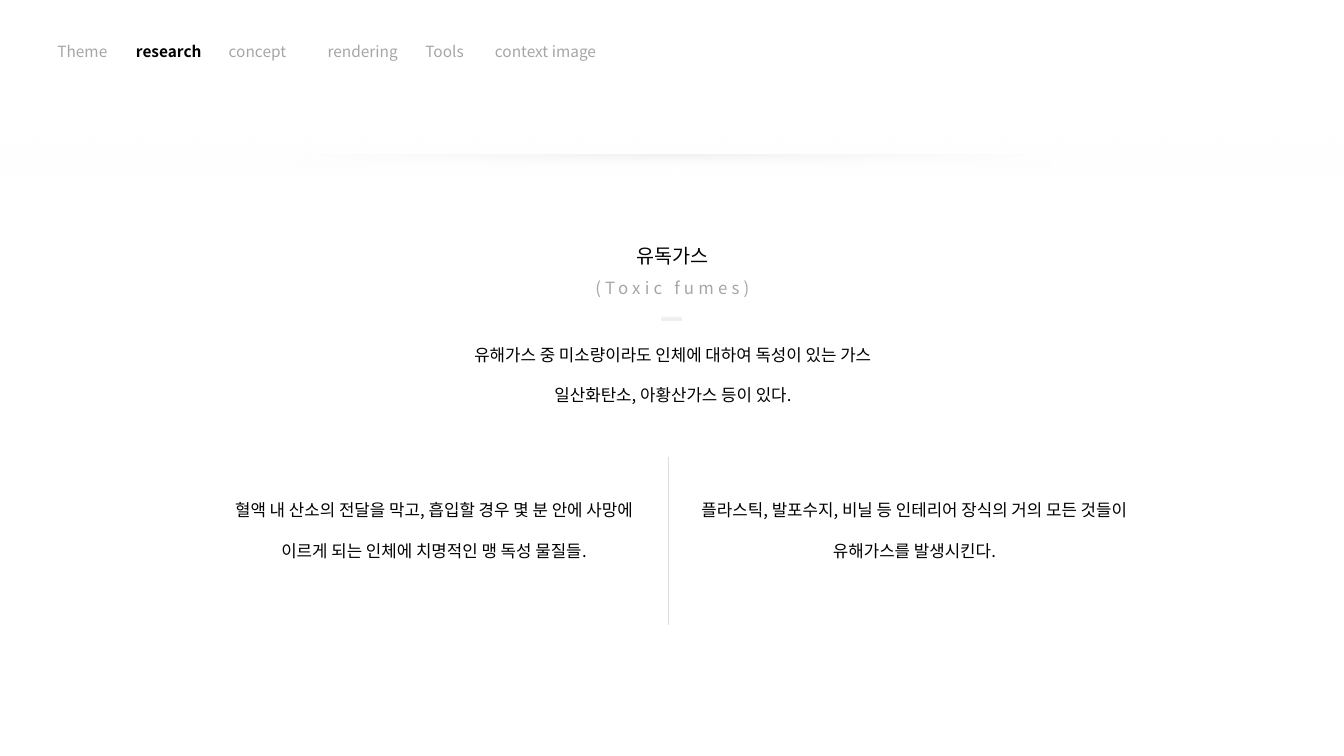
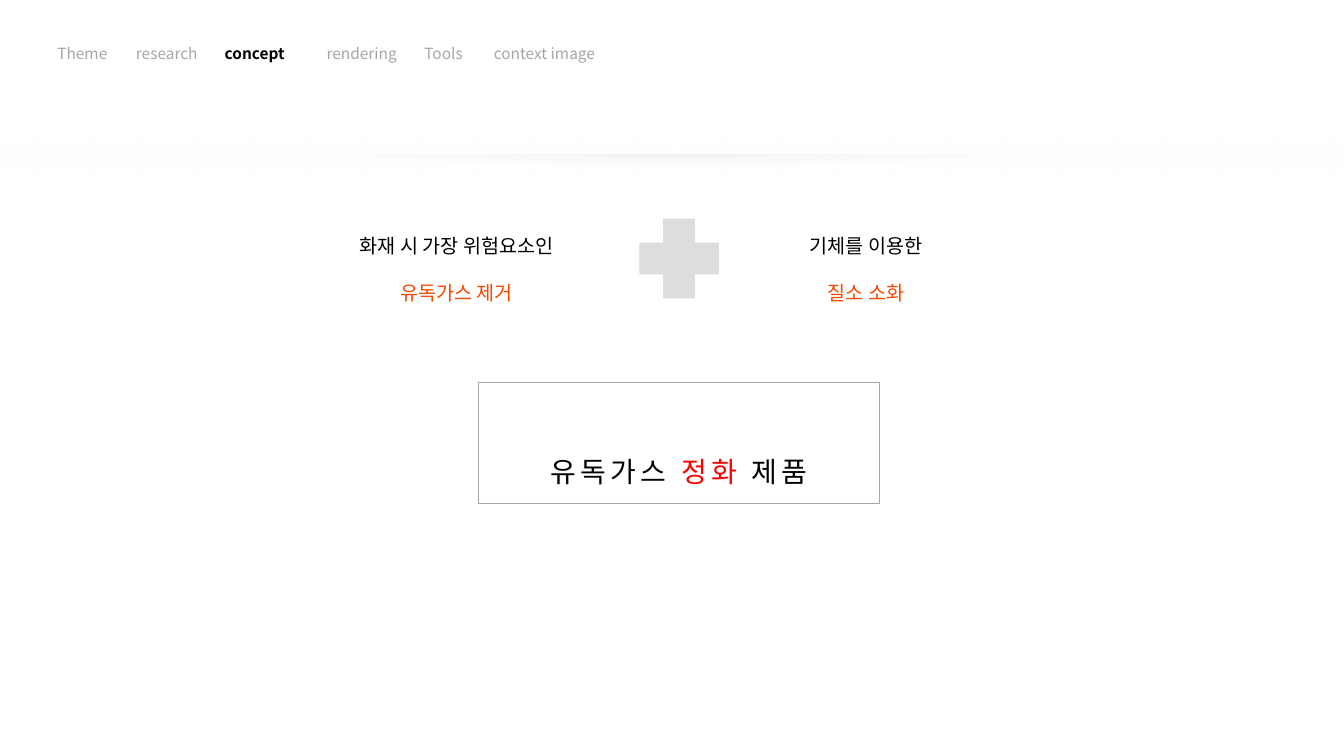
"""Build two slides on toxic fumes and the product concept that answers them."""
import dataclasses
import typing

import lxml.etree
import pptx
import pptx.dml.color
import pptx.enum.shapes
import pptx.enum.text
import pptx.oxml.ns
import pptx.util

Inches = pptx.util.Inches
Pt = pptx.util.Pt
qn = pptx.oxml.ns.qn
Preset = pptx.enum.shapes.MSO_SHAPE
CENTER = pptx.enum.text.PP_ALIGN.CENTER
LEFT = pptx.enum.text.PP_ALIGN.LEFT

FONT = "Noto Sans CJK KR"
COLORS = {
    "white": "FFFFFF", "ink": "000000", "muted": "A6A6A6", "pale": "DDDDDD",
    "orange": "FC4700", "red": "FF0000",
    "dash_top": "F7F7F7", "dash_middle": "EFEFEF", "dash_bottom": "EDEDED",
}
MENU = ("Theme", "research", "concept", "rendering", "Tools", "context image")
NORMAL_INSETS = (0.1, 0.05)
NO_INSETS = (0, 0)


class Area(typing.NamedTuple):
    left: float
    top: float
    width: float
    height: float


class Stop(typing.NamedTuple):
    position: int
    color: str
    alpha: int = 100


@dataclasses.dataclass(frozen=True)
class Span:
    text: str
    size: float = 12
    color: str = "ink"
    bold: bool = False
    spacing: float = 0


@dataclasses.dataclass(frozen=True)
class Line:
    spans: tuple[Span, ...]
    line_spacing: float = 1
    space_before: float = 0
    align: typing.Any = CENTER
    tabs: tuple[float, ...] = ()


@dataclasses.dataclass(frozen=True)
class TextBlock:
    area: Area
    lines: tuple[Line, ...]
    insets: tuple[float, float] = NORMAL_INSETS


def rgb(name: str) -> pptx.dml.color.RGBColor:
    return pptx.dml.color.RGBColor.from_string(COLORS[name])


def add_element(parent, tag: str, **attributes):
    return lxml.etree.SubElement(
        parent, qn(tag), {key: str(value) for key, value in attributes.items()})


def add_color(parent, name: str, alpha: int) -> None:
    color = add_element(parent, "a:srgbClr", val=COLORS[name])
    if alpha < 100:
        add_element(color, "a:alpha", val=alpha * 1000)


def write_lines(frame, lines: tuple[Line, ...], insets: tuple[float, float]) -> None:
    frame.word_wrap = True
    frame.vertical_anchor = pptx.enum.text.MSO_ANCHOR.TOP
    frame.margin_left = frame.margin_right = Inches(insets[0])
    frame.margin_top = frame.margin_bottom = Inches(insets[1])
    for index, line in enumerate(lines):
        para = frame.add_paragraph() if index else frame.paragraphs[0]
        para.alignment = line.align
        para.line_spacing = line.line_spacing
        if line.space_before:
            para.space_before = Pt(line.space_before)
        if line.tabs:
            tab_list = add_element(para._p.get_or_add_pPr(), "a:tabLst")
            for position in line.tabs:
                add_element(tab_list, "a:tab", pos=Inches(position), algn="l")
        for span in line.spans:
            run = para.add_run()
            run.text = span.text
            run.font.name = FONT
            run.font.size = Pt(span.size)
            run.font.bold = span.bold
            run.font.color.rgb = rgb(span.color)
            properties = run._r.get_or_add_rPr()
            add_element(properties, "a:ea", typeface=FONT)
            if span.spacing:
                properties.set("spc", str(int(span.spacing * 100)))


def add_text(page, block: TextBlock) -> None:
    box = page.shapes.add_textbox(*map(Inches, block.area))
    write_lines(box.text_frame, block.lines, block.insets)


def add_figure(page, preset, area: Area, fill: str | None = None):
    shape = page.shapes.add_shape(preset, *map(Inches, area))
    shape.shadow.inherit = False
    shape.line.fill.background()
    if fill:
        shape.fill.solid()
        shape.fill.fore_color.rgb = rgb(fill)
    else:
        shape.fill.background()
    return shape


def set_gradient(shape, stops: tuple[Stop, ...], angle: int) -> None:
    properties = shape._element.spPr
    gradient = lxml.etree.Element(qn("a:gradFill"), rotWithShape="1")
    stop_list = add_element(gradient, "a:gsLst")
    for stop in stops:
        add_color(add_element(stop_list, "a:gs", pos=stop.position * 1000),
                  stop.color, stop.alpha)
    add_element(gradient, "a:lin", ang=angle * 60000, scaled=0)
    properties.replace(properties.find(qn("a:noFill")), gradient)


def add_header(page) -> None:
    band = add_figure(page, Preset.RECTANGLE, Area(0, 0, 13.33, 1.53), "white")
    effects = band._element.spPr.find(qn("a:effectLst"))
    shadow = add_element(effects, "a:outerShdw", blurRad=Pt(11), dist=Pt(3),
                         dir=0, algn="ctr", rotWithShape=0)
    add_color(shadow, "ink", 10)
    for left, rotation in ((0, 0), (6.67, 180)):
        veil = add_figure(page, Preset.RECTANGLE, Area(left, 1.35, 6.67, 0.38))
        veil.rotation = rotation
        set_gradient(veil, (Stop(0, "white", 0), Stop(57, "white")), 180)


def add_menu(page, active: str, top: float, tabs: tuple[float, ...]) -> None:
    spans = tuple(
        Span("\t" + entry if index else entry, 11,
             "ink" if entry == active else "muted", entry == active)
        for index, entry in enumerate(MENU))
    add_text(page, TextBlock(Area(0.47, top, 12.28, 0.29),
                             (Line(spans, align=LEFT, tabs=tabs),)))


def add_page(deck):
    page = deck.slides.add_slide(deck.slide_layouts[6])
    page.background.fill.solid()
    page.background.fill.fore_color.rgb = rgb("white")
    add_header(page)
    return page


def build_research(deck) -> None:
    page = add_page(deck)
    blocks = (
        TextBlock(Area(4.39, 2.14, 4.56, 2.16), (
            Line((Span("유독가스", 14),), 2),
            Line((Span("(Toxic fumes)", 12, "muted", spacing=3),), 1.5))),
        TextBlock(Area(2.62, 3.42, 8.11, 0.61), (
            Line((Span("유해가스 중 미소량이라도 인체에 대하여 독성이 있는 가스"),)),
            Line((Span("일산화탄소, 아황산가스 등이 있다."),), space_before=14.3)),
            NO_INSETS),
        TextBlock(Area(6.75, 4.76, 4.64, 0.81), (
            Line((Span("플라스틱, 발포수지, 비닐 등 인테리어 장식의 거의 모든 것들이"),), 2),
            Line((Span("유해가스를 발생시킨다."),), 2)),
            NO_INSETS),
        TextBlock(Area(2.17, 4.76, 4.27, 0.81), (
            Line((Span("혈액 내 산소의 전달을 막고, 흡입할 경우 몇 분 안에 사망에 "
                       "이르게 되는 인체에 치명적인 맹 독성 물질들."),), 2),),
            NO_INSETS),
    )
    for block in blocks:
        add_text(page, block)
    dash = add_figure(page, Preset.ROUNDED_RECTANGLE, Area(6.56, 3.14, 0.21, 0.04))
    dash.adjustments[0] = 0.05
    set_gradient(dash, (Stop(0, "dash_top"), Stop(50, "dash_middle"),
                        Stop(100, "dash_bottom")), 90)
    divider = page.shapes.add_connector(
        pptx.enum.shapes.MSO_CONNECTOR.STRAIGHT,
        Inches(6.63), Inches(4.53), Inches(6.63), Inches(6.2))
    divider.line.color.rgb = rgb("pale")
    divider.line.width = Pt(0.5)
    add_element(divider._element.spPr, "a:effectLst")
    add_menu(page, "research", 0.37, (0.78, 1.7, 2.68, 3.65, 4.34))


def build_concept(deck) -> None:
    page = add_page(deck)
    ideas = (
        (Area(3.4, 2.04, 2.26, 1.04), "화재 시 가장 위험요소인", "유독가스 제거"),
        (Area(7.86, 2.04, 1.46, 1.04), "기체를 이용한", "질소 소화"),
    )
    for area, lead, answer in ideas:
        add_text(page, TextBlock(area, (Line((Span(lead, 14),), 2),
                                        Line((Span(answer, 14, "orange"),), 2))))
    result = add_figure(page, Preset.RECTANGLE, Area(4.75, 3.79, 3.97, 1.21))
    result.line.color.rgb = rgb("muted")
    result.line.width = Pt(0)
    words = (("유독가스 ", "ink"), ("정화", "red"), (" 제품", "ink"))
    spans = tuple(Span(word, 20, color, spacing=3) for word, color in words)
    write_lines(result.text_frame, (Line(spans, 3),), NORMAL_INSETS)
    plus = add_figure(page, Preset.CROSS, Area(6.34, 2.17, 0.79, 0.79), "pale")
    plus.adjustments[0] = 0.3
    add_menu(page, "concept", 0.39, (0.78, 1.66, 2.67, 3.64, 4.33))


def main() -> None:
    deck = pptx.Presentation()
    deck.slide_width = Inches(13.33)
    deck.slide_height = Inches(7.5)
    build_research(deck)
    build_concept(deck)
    deck.save("out.pptx")


if __name__ == "__main__":
    main()
